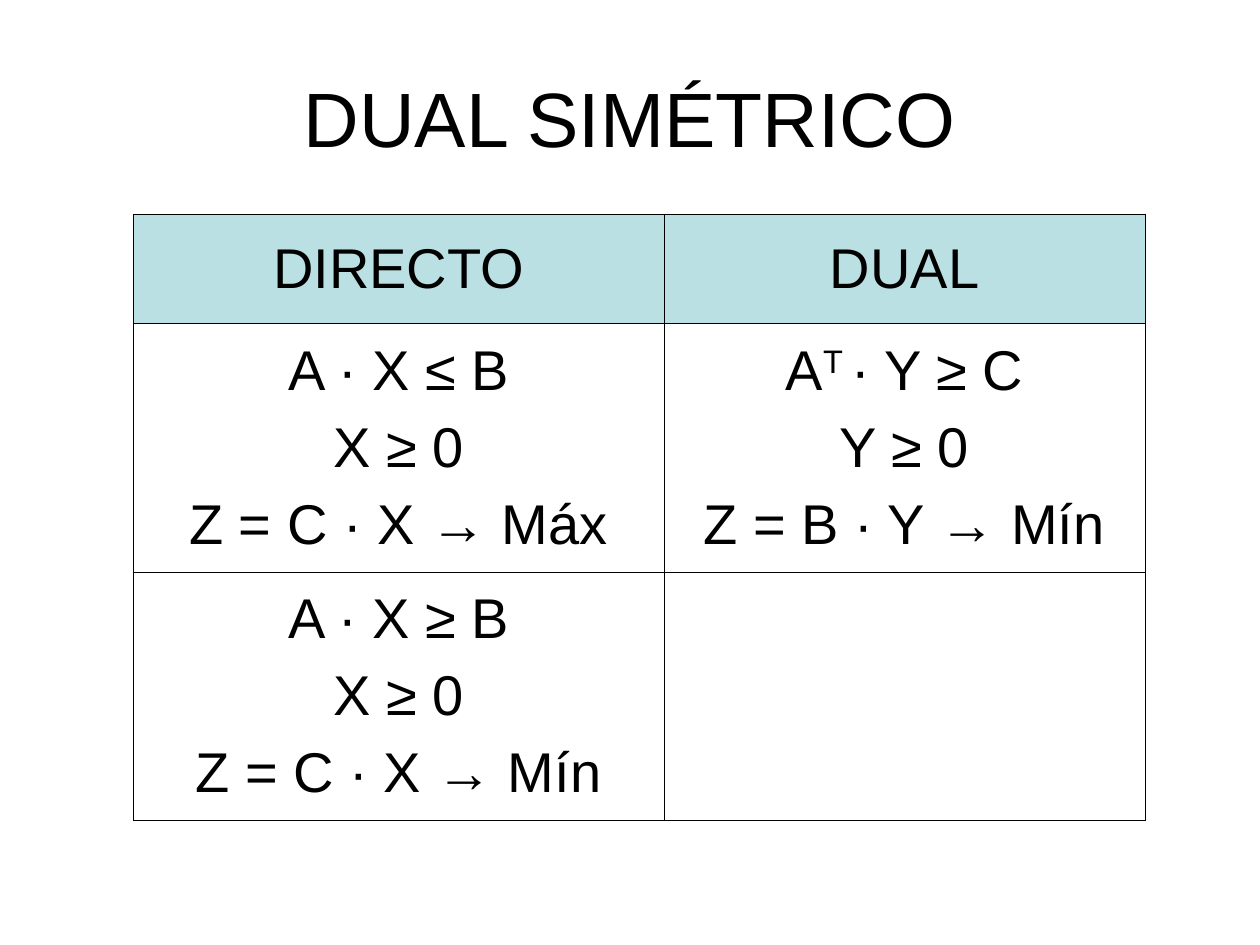
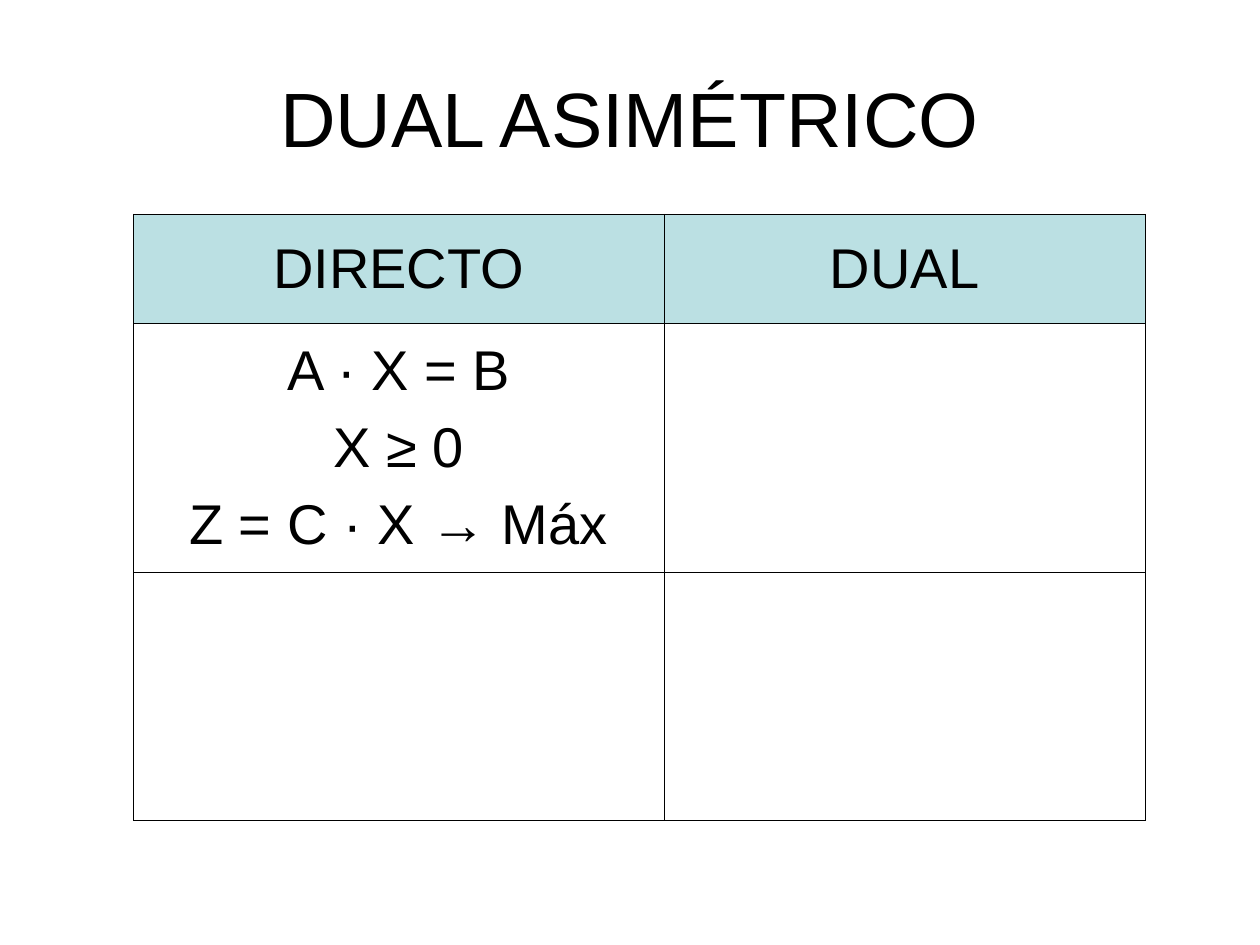
"""Build two slides that set the direct problem beside its dual."""
from lxml import etree
from pptx import Presentation
from pptx.dml.color import RGBColor
from pptx.enum.text import MSO_ANCHOR, PP_ALIGN
from pptx.oxml.ns import qn
from pptx.util import Inches, Pt

CENTER = PP_ALIGN.CENTER
MIDDLE = MSO_ANCHOR.MIDDLE
BLACK = RGBColor(0x00, 0x00, 0x00)
WHITE = RGBColor(0xFF, 0xFF, 0xFF)
HEADER_BLUE = RGBColor(0xBB, 0xE0, 0xE3)

GRID_COLS, GRID_ROWS = 100, 75
COL_WIDTHS = [42.1, 38.2]
ROW_HEIGHTS = [8.7, 19.7, 19.7]
HEADER = [["DIRECTO"], ["DUAL"]]


class Deck:
    font = "Arial"
    title_size = Pt(44)
    cell_size = Pt(32)
    line_gap = Pt(8)
    border_width = Pt(0.45)

    def __init__(self):
        self.prs = Presentation()
        self.prs.slide_width, self.prs.slide_height = Inches(10), Inches(7.5)
        self.slide = None

    def x(self, cols):
        return round(self.prs.slide_width * cols / GRID_COLS)

    def y(self, rows):
        return round(self.prs.slide_height * rows / GRID_ROWS)

    def new_slide(self):
        self.slide = self.prs.slides.add_slide(self.prs.slide_layouts[6])

    def add_lines(self, tf, lines, size):
        for i, line in enumerate(lines):
            p = tf.paragraphs[0] if i == 0 else tf.add_paragraph()
            p.alignment = CENTER
            if i:
                p.space_before = self.line_gap
            for j, text in enumerate([line] if isinstance(line, str) else line):
                r = p.add_run()
                r.text = text
                r.font.name, r.font.size = self.font, size
                r.font.color.rgb = BLACK
                if j == 1:
                    r.font._element.set("baseline", "30000")

    def title(self, text):
        sp = self.slide.shapes.add_textbox(
            self.x(5), self.y(3), self.x(90), self.y(12.5))
        tf = sp.text_frame
        tf.word_wrap = True
        tf.vertical_anchor = MIDDLE
        self.add_lines(tf, [text], self.title_size)

    def borders(self, cell):
        tc_pr = cell._tc.get_or_add_tcPr()
        for side in ("a:lnL", "a:lnR", "a:lnT", "a:lnB"):
            ln = etree.SubElement(tc_pr, qn(side), w=str(self.border_width))
            fill = etree.SubElement(ln, qn("a:solidFill"))
            etree.SubElement(fill, qn("a:srgbClr"), val=str(BLACK))

    def table(self, rows):
        table = self.slide.shapes.add_table(
            len(ROW_HEIGHTS), len(COL_WIDTHS), self.x(10.6), self.y(17),
            self.x(sum(COL_WIDTHS)), self.y(sum(ROW_HEIGHTS))).table
        table.first_row = table.horz_banding = False
        for col, width in zip(table.columns, COL_WIDTHS):
            col.width = self.x(width)
        for row, height in zip(table.rows, ROW_HEIGHTS):
            row.height = self.y(height)
        for i, row in enumerate([HEADER] + rows):
            for j, lines in enumerate(row):
                cell = table.cell(i, j)
                cell.vertical_anchor = MIDDLE
                self.borders(cell)
                cell.fill.solid()
                cell.fill.fore_color.rgb = WHITE if i else HEADER_BLUE
                self.add_lines(cell.text_frame, lines, self.cell_size)


def direct(relation, goal):
    return [f"A · X {relation} B", "X ≥ 0", f"Z = C · X → {goal}"]


def main():
    dual_min = [("A", "T ", "· Y ≥ C"), "Y ≥ 0", "Z = B · Y → Mín"]
    slides = {
        "DUAL SIMÉTRICO": [[direct("≤", "Máx"), dual_min],
                           [direct("≥", "Mín"), []]],
        "DUAL ASIMÉTRICO": [[direct("=", "Máx"), []], [[], []]],
    }
    deck = Deck()
    for title, rows in slides.items():
        deck.new_slide()
        deck.table(rows)
        deck.title(title)
    deck.prs.save("out.pptx")


if __name__ == "__main__":
    main()
